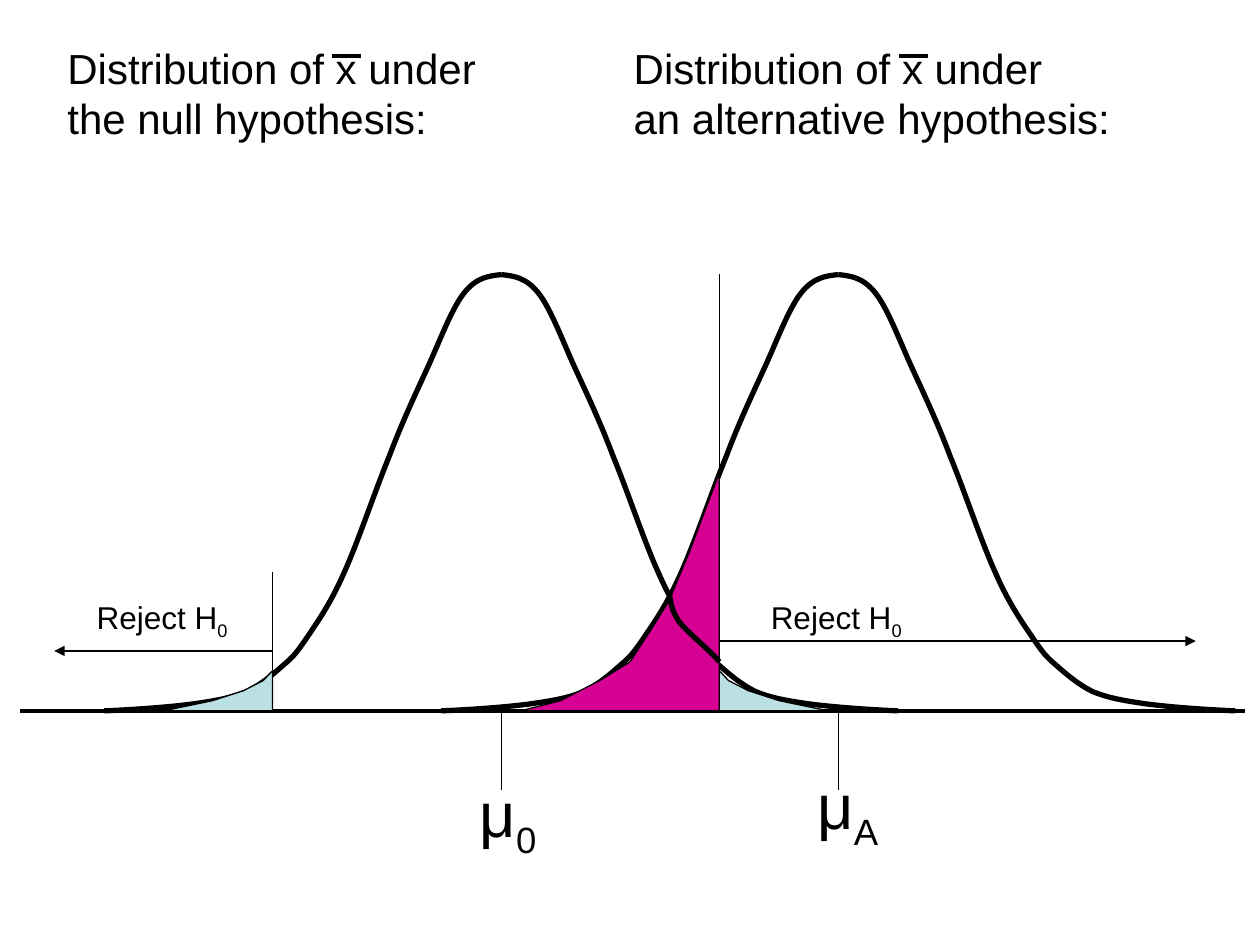
from lxml import etree
from pptx import Presentation
from pptx.dml.color import RGBColor
from pptx.enum.shapes import MSO_CONNECTOR
from pptx.enum.text import MSO_AUTO_SIZE
from pptx.oxml.ns import qn
from pptx.util import Pt

STRAIGHT = MSO_CONNECTOR.STRAIGHT
FIT_SHAPE = MSO_AUTO_SIZE.SHAPE_TO_FIT_TEXT
FONT = "Arial"
BLACK, PALE_BLUE, MAGENTA = "000000", "BBE0E3", "D60093"

BASELINE = 406.2
NULL_MEAN, ALTERNATIVE_MEAN = 286.4, 479
LOWER_CUTOFF, UPPER_CUTOFF = 155.8, 411

# Bezier controls: distance from the mean, height above the baseline
BELL_HALF = [
    (226.8, 0), (208, 0.8), (189.4, 2.2), (175.7, 4),
    (162, 6), (154, 7.5), (145.4, 11), (136.8, 15.3),
    (130.3, 21), (124.6, 26), (118.8, 31), (117.4, 32.6),
    (111.6, 41), (105.7, 49.8), (97.9, 60.5), (90, 78.5),
    (82, 96), (72, 126), (64, 145.4), (57, 164),
    (50.4, 178), (43.2, 193.7), (36, 209), (28.8, 229),
    (21.6, 238.3), (14.4, 247.7), (7.2, 248.5), (0, 249.3),
]
REJECTION_TAIL = [(62.2, 0), (34.2, 5.8), (16.6, 11.5), (5.3, 17.3), (0, 23), (0, 0)]
TYPE_II_AREA = [
    (113.4, 0), (0, 0), (0, 136), (17, 91), (28.6, 63), (39.6, 45.4),
    (51, 28), (68.2, 17.3), (90.7, 5.8),
]
OVERLAP_CURVE = [
    (28.6, 68.4), (28, 62.6), (27.4, 57.6), (23, 51.1),
    (18, 44.6), (3.5, 33), (0, 28),
]

HEADINGS = [
    (31.4, 254, ["Distribution of x under", "the null hypothesis:"]),
    (355, 286.5, ["Distribution of x under", "an alternative hypothesis:"]),
]
HEADING_TOP, BAR_OFFSET, BAR_WIDTH, BAR_TOP = 20.5, 158.5, 16.6, 32
REJECT_LABELS = [48.2, 433.4]


def color(value):
    return RGBColor.from_string(value)


def add_line(shapes, start, end, width, arrow=False):
    connector = shapes.add_connector(STRAIGHT, *(Pt(value) for value in start + end))
    connector.line.color.rgb = color(BLACK)
    connector.line.width = Pt(width)
    properties = connector._element.spPr
    if arrow:
        outline = properties.find(qn("a:ln"))
        etree.SubElement(outline, qn("a:tailEnd"), type="triangle")
    etree.SubElement(properties, qn("a:effectLst"))


def add_outline(shapes, points, origin, side, width, fill=None):
    vertices = [(Pt(origin + side * x), Pt(BASELINE - y)) for x, y in points]
    builder = shapes.build_freeform(*vertices[0], scale=1.0)
    builder.add_line_segments(vertices[1:], close=fill is not None)
    shape = builder.convert_to_shape()
    shape.shadow.inherit = False
    shape.line.color.rgb = color(BLACK)
    shape.line.width = Pt(width)
    if fill:
        shape.fill.solid()
        shape.fill.fore_color.rgb = color(fill)
    else:
        shape.fill.background()
    return shape


def add_curve(shapes, controls, origin, side):
    shape = add_outline(shapes, controls, origin, side, 3)
    segments = list(shape._element.iter(qn("a:lnTo")))
    outline = segments[0].getparent()
    for first in range(0, len(segments), 3):
        bezier = etree.SubElement(outline, qn("a:cubicBezTo"))
        for segment in segments[first:first + 3]:
            bezier.append(segment[0])
            outline.remove(segment)


def add_bell(shapes, mean):
    group = shapes.add_group_shape()
    for side in (-1, 1):
        add_curve(group.shapes, BELL_HALF, mean, side)


def add_text(shapes, box, lines, size, subscript=None, wrap=False):
    shape = shapes.add_textbox(*(Pt(value) for value in box))
    frame = shape.text_frame
    frame.word_wrap = wrap
    frame.auto_size = FIT_SHAPE
    frame.text = "\n".join(lines)
    if subscript:
        run = frame.paragraphs[-1].add_run()
        run.text = subscript
        run.font._element.set("baseline", "-25000")
    for paragraph in frame.paragraphs:
        for run in paragraph.runs:
            run.font.name = FONT
            run.font.size = Pt(size)
            run.font.color.rgb = color(BLACK)


def add_mean(shapes, mean, box, subscript):
    add_line(shapes, (mean, BASELINE), (mean, 451.5), 0.75)
    add_text(shapes, box, ["μ"], 36, subscript)


def main():
    presentation = Presentation()
    presentation.slide_width, presentation.slide_height = Pt(720), Pt(540)
    slide = presentation.slides.add_slide(presentation.slide_layouts[6])
    shapes = slide.shapes

    add_bell(shapes, NULL_MEAN)
    add_line(shapes, (11.5, BASELINE), (711.4, BASELINE), 2.25)
    add_mean(shapes, NULL_MEAN, (267.1, 439.2, 46.8, 56.9), "0")
    for left, width, lines in HEADINGS:
        add_text(shapes, (left, HEADING_TOP, width, 64.8), lines, 24)
        bar_left = left + BAR_OFFSET
        add_line(shapes, (bar_left, BAR_TOP), (bar_left + BAR_WIDTH, BAR_TOP), 2.25)

    for cutoff, top, side in ((LOWER_CUTOFF, 327, -1), (UPPER_CUTOFF, 156.8, 1)):
        add_line(shapes, (cutoff, top), (cutoff, BASELINE), 0.75)
        add_outline(shapes, REJECTION_TAIL, cutoff, side, 0.75, PALE_BLUE)

    add_bell(shapes, ALTERNATIVE_MEAN)
    for left in REJECT_LABELS:
        add_text(shapes, (left, 338, 90.7, 31.7), ["Reject H"], 18, "0", wrap=True)
    for cutoff, tip, height in ((LOWER_CUTOFF, 31, 372), (UPPER_CUTOFF, 683.3, 366.3)):
        add_line(shapes, (cutoff, height), (tip, height), 1.5, arrow=True)
    add_mean(shapes, ALTERNATIVE_MEAN, (460.1, 434.5, 49, 56.9), "A")

    add_outline(shapes, TYPE_II_AREA, UPPER_CUTOFF, -1, 0.75, MAGENTA)
    add_curve(shapes, OVERLAP_CURVE, UPPER_CUTOFF, -1)

    presentation.save("out.pptx")


if __name__ == "__main__":
    main()
